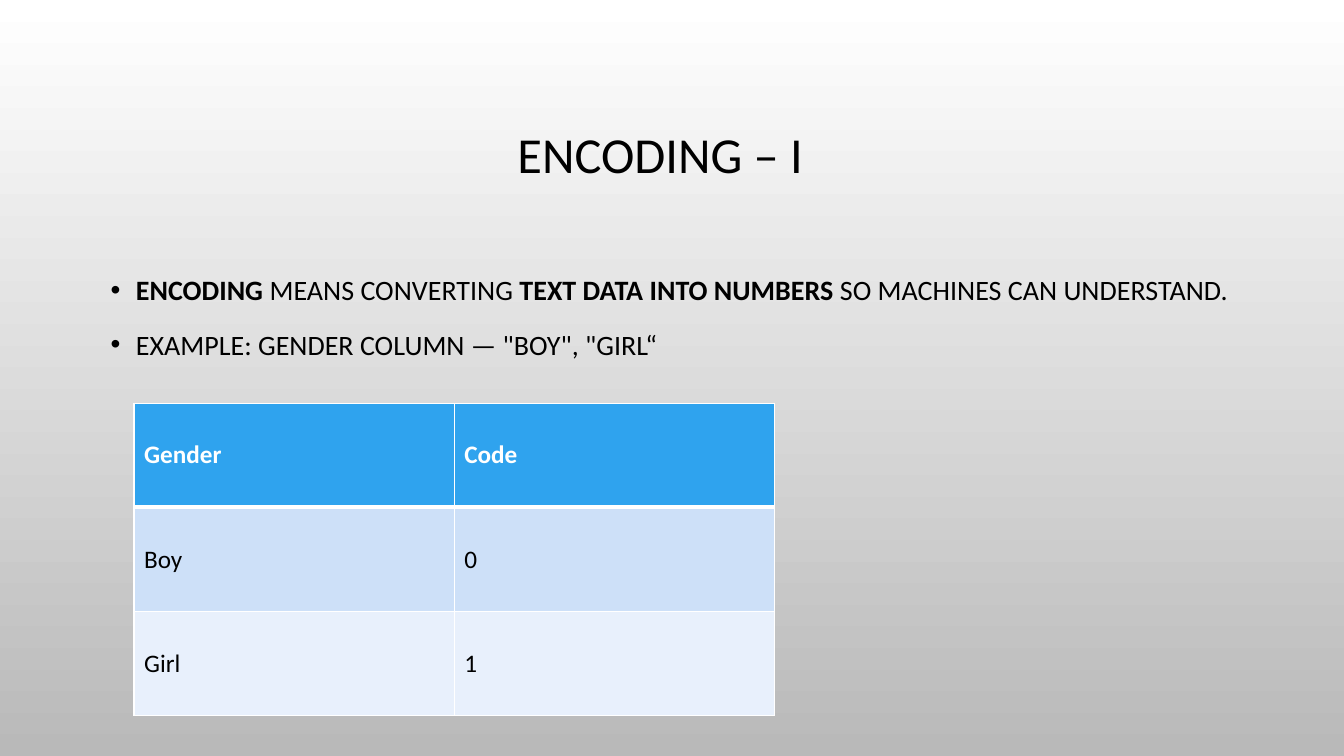
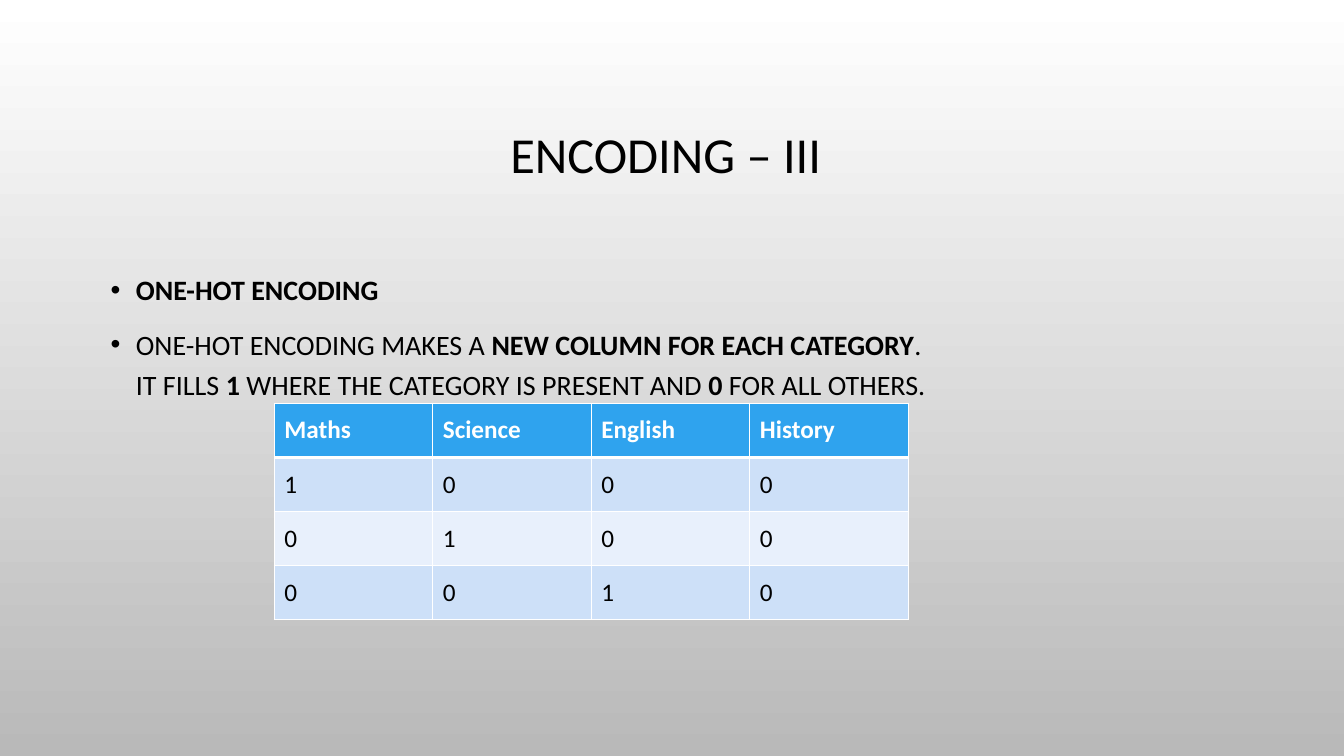
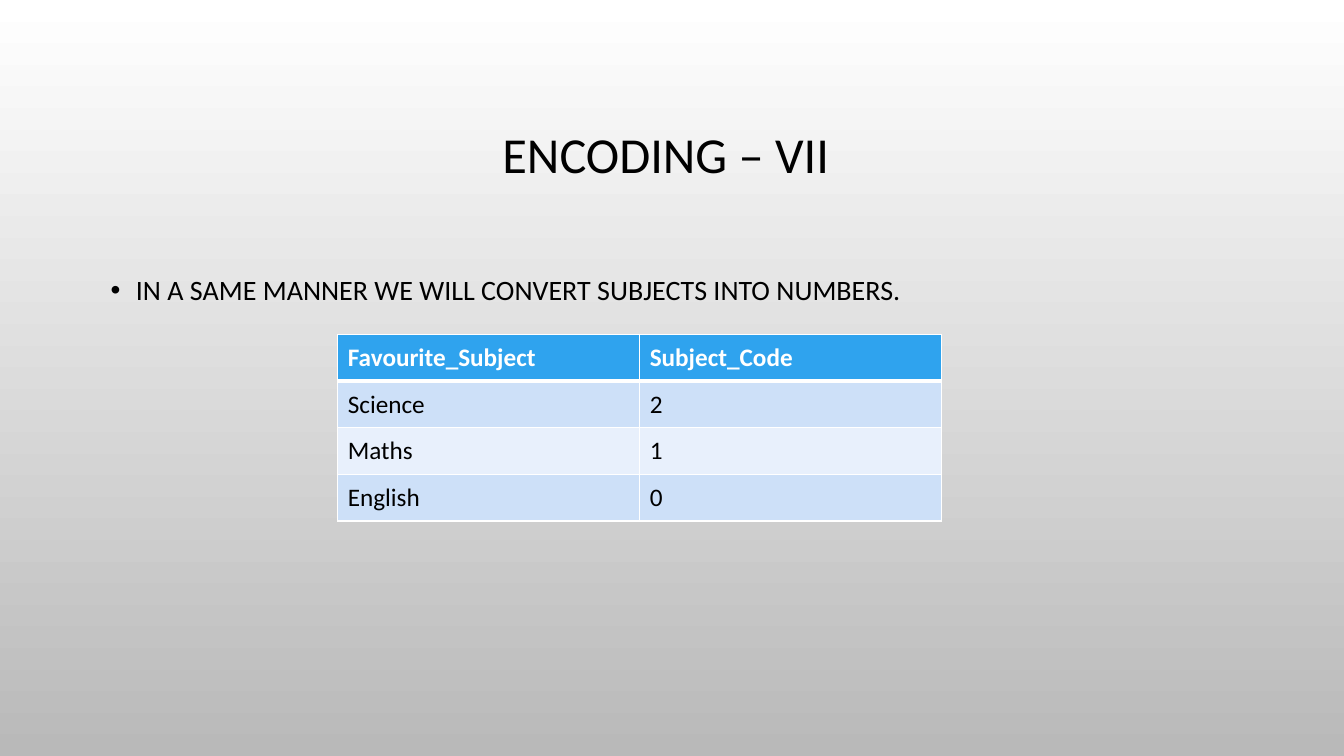
from lxml.etree import SubElement as Sub
from pptx import Presentation
from pptx.dml.color import RGBColor
from pptx.enum.text import MSO_ANCHOR as Anchor, PP_ALIGN as Align
from pptx.oxml.ns import qn
from pptx.util import Inches, Pt

BLACK = RGBColor(0x00, 0x00, 0x00)
WHITE = RGBColor(0xFF, 0xFF, 0xFF)
GREY = RGBColor(0xB9, 0xB9, 0xB9)
BLUE = RGBColor(0x2F, 0xA3, 0xEE)
BANDS = RGBColor(0xE8, 0xF0, 0xFC), RGBColor(0xCD, 0xE0, 0xF8)
FACE = "Calibri"
LEFT, WIDTH = Inches(1), Inches(11.33)


def set_back(master):
    fill = master.background.fill
    fill.gradient()
    fill.gradient_angle = 270
    for stop, color in zip(fill.gradient_stops, (WHITE, GREY)):
        stop.color.rgb = color


def set_font(par, size, color=BLACK, bold=None):
    font = par.font
    font.name, font.size, font.bold = FACE, Pt(size), bold
    font.color.rgb = color


def add_box(slide, top, height):
    frame = slide.shapes.add_textbox(LEFT, Inches(top), WIDTH, Inches(height)).text_frame
    frame.word_wrap = True
    return frame


def add_title(slide, text, inset):
    frame = add_box(slide, 0.68, 1.75)
    frame.vertical_anchor = Anchor.MIDDLE
    frame.margin_right = Inches(inset)
    par = frame.paragraphs[0]
    par.text = text
    par.alignment = Align.CENTER
    par.line_spacing = 0.9
    set_font(par, 36)


def set_bullet(par):
    props = par._p.get_or_add_pPr()
    props.set("marL", str(Inches(0.25)))
    props.set("indent", str(-Inches(0.25)))
    color = Sub(props, qn("a:buClr"))
    Sub(color, qn("a:srgbClr"), val=str(BLACK))
    Sub(props, qn("a:buFont"), typeface="Arial")
    Sub(props, qn("a:buChar"), char="•")


def add_runs(par, text):
    for row, line in enumerate(text.split("\n")):
        if row:
            par.add_line_break()
        for pos, part in enumerate(line.split("|")):
            if part:
                run = par.add_run()
                run.text = part
                run.font.bold = pos % 2 == 1


def add_body(slide, items):
    frame = add_box(slide, 2.59, 3.74)
    for pos, text in enumerate(items):
        par = frame.add_paragraph() if pos else frame.paragraphs[0]
        add_runs(par, text)
        par.line_spacing = 1.2
        par.space_before = Pt(10)
        set_bullet(par)
        set_font(par, 20)


def set_edges(cell, top, base):
    props = cell._tc.get_or_add_tcPr()
    for side, width in zip("LRTB", (1, 1, top, base)):
        line = Sub(props, qn(f"a:ln{side}"), w=str(Pt(width)))
        fill = Sub(line, qn("a:solidFill"))
        Sub(fill, qn("a:srgbClr"), val=str(WHITE))


def add_grid(slide, place, rows):
    area = [Inches(size) for size in place]
    table = slide.shapes.add_table(len(rows), len(rows[0]), *area).table
    for row, texts in enumerate(rows):
        head = row == 0
        for col, text in enumerate(texts):
            cell = table.cell(row, col)
            cell.text = text
            cell.vertical_anchor = Anchor.MIDDLE
            set_edges(cell, 3 if row == 1 else 1, 3 if head else 1)
            cell.fill.solid()
            cell.fill.fore_color.rgb = BLUE if head else BANDS[row % 2]
            set_font(cell.text_frame.paragraphs[0], 18, WHITE if head else BLACK, head)


SLIDES = [
    (
        "ENCODING – I", 0.33,
        [
            "|ENCODING| MEANS CONVERTING |TEXT DATA INTO NUMBERS| SO MACHINES CAN UNDERSTAND.",
            'EXAMPLE: GENDER COLUMN — "BOY", "GIRL“',
        ],
        (1.33, 4, 6.35, 3.1),
        [("Gender", "Code"), ("Boy", "0"), ("Girl", "1")],
    ),
    (
        "ENCODING – III", 0.22,
        [
            "|ONE-HOT ENCODING|",
            "ONE-HOT ENCODING MAKES A |NEW COLUMN FOR EACH CATEGORY|.\n"
            "IT FILLS |1| WHERE THE CATEGORY IS PRESENT AND |0| FOR ALL OTHERS.",
        ],
        (2.72, 4, 6.29, 2.15),
        [("Maths", "Science", "English", "History"), "1000", "0100", "0010"],
    ),
    (
        "ENCODING – VII", 0.22,
        ["IN A SAME MANNER WE WILL CONVERT SUBJECTS INTO NUMBERS."],
        (3.35, 3.32, 5.99, 1.85),
        [("Favourite_Subject", "Subject_Code"), ("Science", "2"), ("Maths", "1"), ("English", "0")],
    ),
]


def main():
    deck = Presentation()
    deck.slide_width, deck.slide_height = Inches(13.33), Inches(7.5)
    set_back(deck.slide_master)
    for title, inset, items, place, rows in SLIDES:
        slide = deck.slides.add_slide(deck.slide_layouts[6])
        add_title(slide, title, inset)
        add_body(slide, items)
        add_grid(slide, place, rows)
    deck.save("out.pptx")


if __name__ == "__main__":
    main()
